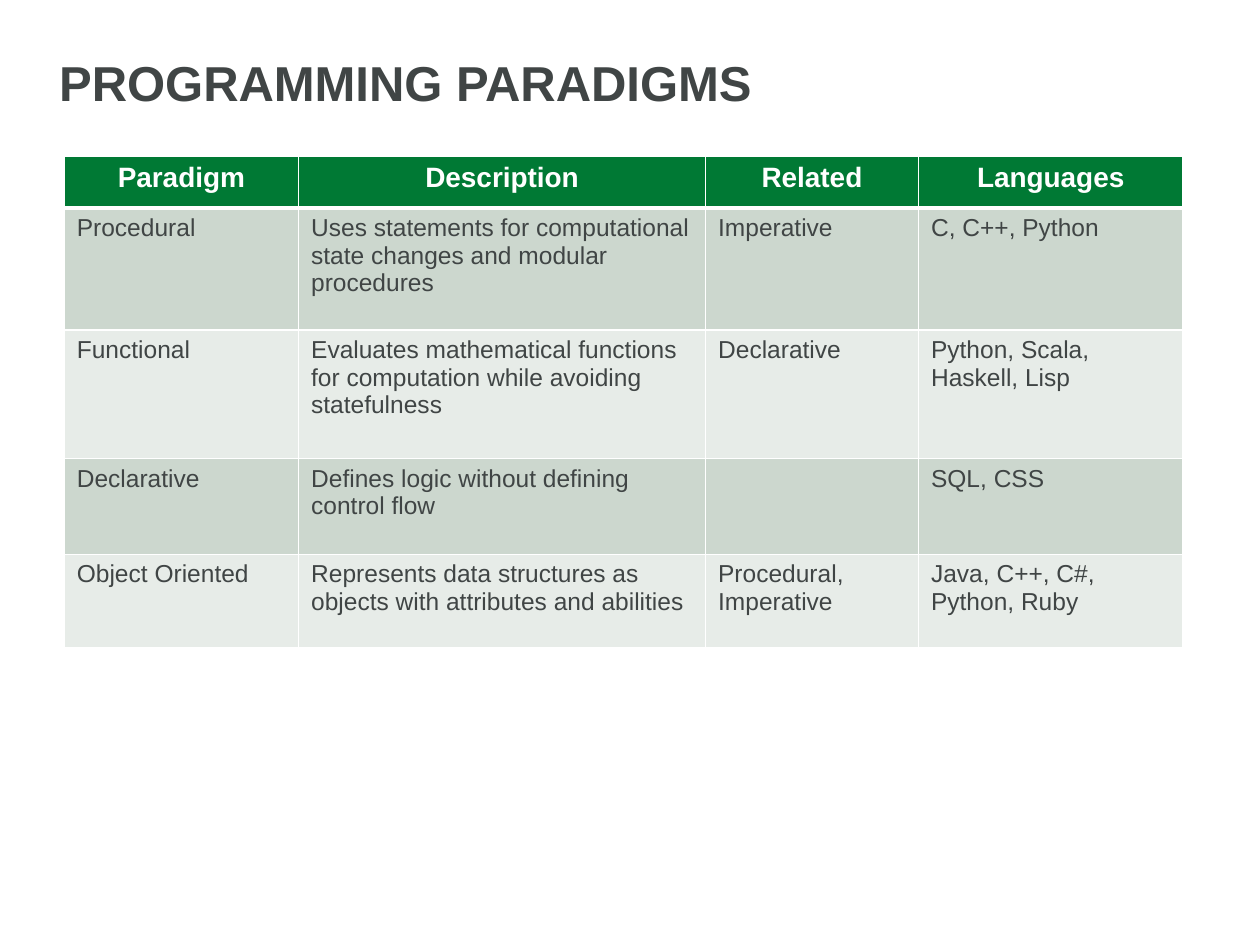
from lxml import etree
from pptx import Presentation
from pptx.dml.color import RGBColor
from pptx.enum import text
from pptx.oxml.ns import qn
from pptx.util import Inches, Pt

WHITE = RGBColor(0xFF, 0xFF, 0xFF)
GREEN = RGBColor(0x00, 0x79, 0x34)
INK = RGBColor(0x40, 0x45, 0x45)
BANDS = (RGBColor(0xCC, 0xD7, 0xCE), RGBColor(0xE7, 0xEC, 0xE8))

COLUMN_WIDTHS = (1.86, 3.23, 1.69, 2.1)
ROW_HEIGHTS = (0.41, 0.97, 1.02, 0.76, 0.74)
PARADIGMS = (
    ("Paradigm", "Description", "Related", "Languages"),
    ("Procedural",
     "Uses statements for computational state changes and modular procedures",
     "Imperative", "C, C++, Python"),
    ("Functional",
     "Evaluates mathematical functions for computation while avoiding statefulness",
     "Declarative", "Python, Scala, Haskell, Lisp"),
    ("Declarative", "Defines logic without defining control flow", "", "SQL, CSS"),
    ("Object Oriented",
     "Represents data structures as objects with attributes and abilities",
     "Procedural, Imperative", "Java, C++, C#, Python, Ruby"),
)


def style_text(p, size, color, bold):
    p.font.name = "Arial"
    p.font.size = Pt(size)
    p.font.color.rgb = color
    p.font.bold = bold


def set_borders(cell, top, bottom):
    """Draw white borders; top and bottom are widths in points."""
    tc_pr = cell._tc.get_or_add_tcPr()
    widths = (("a:lnL", 1), ("a:lnR", 1), ("a:lnT", top), ("a:lnB", bottom))
    for i, (tag, width) in enumerate(widths):
        ln = etree.Element(qn(tag), w=str(Pt(width)))
        fill = etree.SubElement(ln, qn("a:solidFill"))
        etree.SubElement(fill, qn("a:srgbClr"), val=str(WHITE))
        tc_pr.insert(i, ln)


def add_title(slide, left, top, width, height):
    title = slide.shapes.title
    title.left, title.top, title.width, title.height = left, top, width, height
    tf = title.text_frame
    tf.text = "PROGRAMMING PARADIGMS"
    tf.vertical_anchor = text.MSO_ANCHOR.MIDDLE
    p = tf.paragraphs[0]
    p.alignment = text.PP_ALIGN.LEFT
    style_text(p, 28, INK, True)


def add_paradigm_table(slide, left, top, width, height):
    table = slide.shapes.add_table(
        len(PARADIGMS), len(COLUMN_WIDTHS), left, top, width, height).table
    for column, column_width in zip(table.columns, COLUMN_WIDTHS):
        column.width = Inches(column_width)
    for r, (row, row_height) in enumerate(zip(table.rows, ROW_HEIGHTS)):
        row.height = Inches(row_height)
        header = r == 0
        for cell, words in zip(row.cells, PARADIGMS[r]):
            cell.fill.solid()
            cell.fill.fore_color.rgb = GREEN if header else BANDS[(r - 1) % 2]
            set_borders(cell, top=3 if r == 1 else 1, bottom=3 if header else 1)
            cell.text = words
            p = cell.text_frame.paragraphs[0]
            if header:
                p.alignment = text.PP_ALIGN.CENTER
                style_text(p, 16, WHITE, True)
            else:
                style_text(p, 14, INK, False)


def main():
    prs = Presentation()
    prs.slide_width, prs.slide_height = Inches(10), Inches(7.5)
    slide = prs.slides.add_slide(prs.slide_layouts[5])
    add_title(slide, Inches(0.37), Inches(0.33), Inches(9.16), Inches(0.64))
    add_paradigm_table(slide, Inches(0.51), Inches(1.24),
                       Inches(sum(COLUMN_WIDTHS)), Inches(sum(ROW_HEIGHTS)))
    prs.save("out.pptx")


if __name__ == "__main__":
    main()
